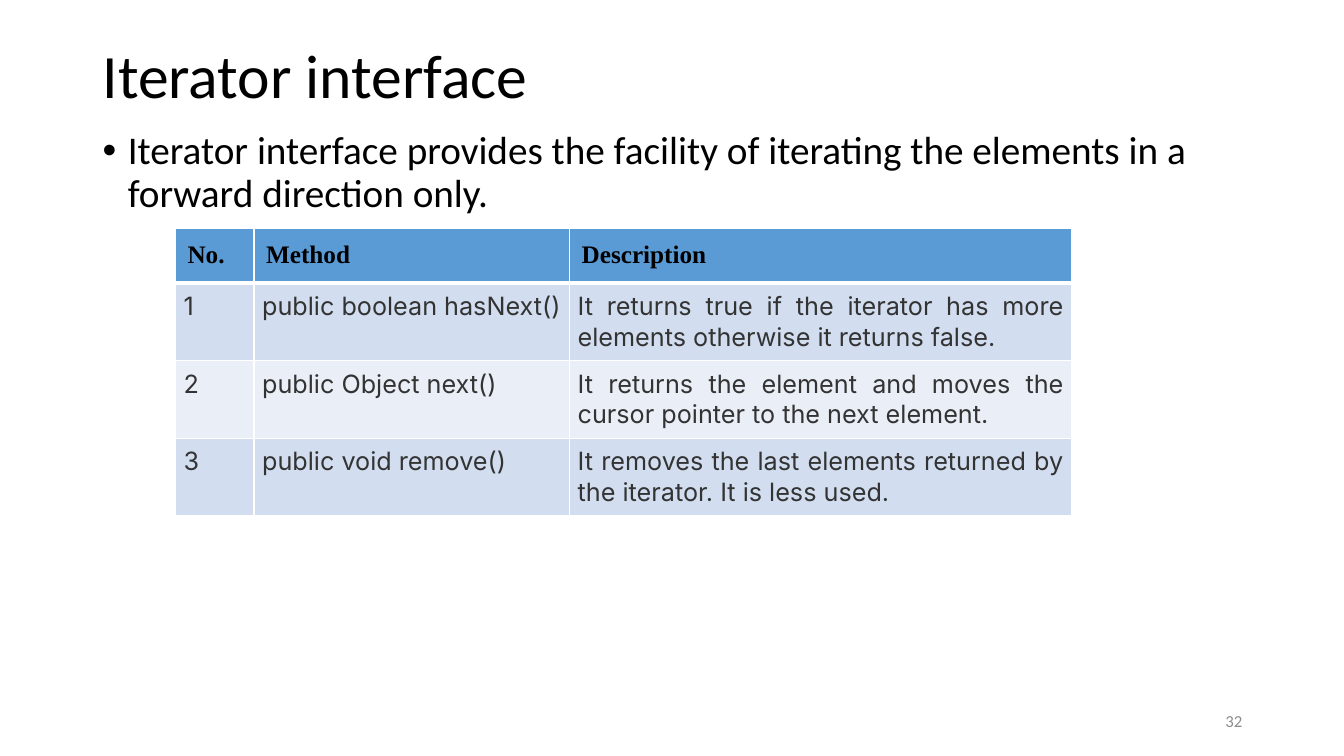
from lxml import etree
from pptx import Presentation
from pptx.dml.color import RGBColor
from pptx.enum import text
from pptx.oxml import ns
from pptx.util import Inches, Pt

ALIGN = text.PP_ALIGN
ANCHOR = text.MSO_ANCHOR


def style(paragraph, size, font, color, bold=False, align=ALIGN.LEFT):
    paragraph.alignment = align
    paragraph.font.size = Pt(size)
    paragraph.font.name = font
    paragraph.font.bold = bold
    paragraph.font.color.rgb = RGBColor.from_string(color)


def add_text(left, top, width, height, words, size, color="000000",
             anchor=ANCHOR.TOP, align=ALIGN.LEFT):
    box = slide.shapes.add_textbox(Inches(left), Inches(top), Inches(width), Inches(height))
    frame = box.text_frame
    frame.word_wrap = True
    frame.vertical_anchor = anchor
    paragraph = frame.paragraphs[0]
    paragraph.text = words
    style(paragraph, size, "Calibri", color, align=align)
    return paragraph


presentation = Presentation()
presentation.slide_width = Inches(13.33)
presentation.slide_height = Inches(7.5)
slide = presentation.slides.add_slide(presentation.slide_layouts[6])

# Title
title = add_text(0.92, 0.4, 11.5, 1.45, "Iterator interface", 44)
title.line_spacing = 0.9

# Bullet
bullet = add_text(0.92, 1.25, 11.5, 5.51,
                  "Iterator interface provides the facility of iterating "
                  "the elements in a forward direction only.", 28)
bullet.line_spacing = 0.9
bullet.space_before = Pt(10)
properties = bullet._p.get_or_add_pPr()
properties.set("marL", str(Inches(0.25)))
properties.set("indent", str(Inches(-0.25)))
etree.SubElement(properties, ns.qn("a:buFont"), typeface="Arial")
etree.SubElement(properties, ns.qn("a:buChar"), char="•")
# The schema wants the default run properties after the bullet
properties.append(properties.find(ns.qn("a:defRPr")))

# Slide number
add_text(9.42, 6.95, 3, 0.4, "32", 12, "8C8C8C", ANCHOR.MIDDLE, ALIGN.RIGHT)

# Table of methods
methods = [
    ("No.", "Method", "Description"),
    ("1", "public boolean hasNext()",
     "It returns true if the iterator has more elements otherwise it returns false."),
    ("2", "public Object next()",
     "It returns the element and moves the cursor pointer to the next element."),
    ("3", "public void remove()",
     "It removes the last elements returned by the iterator. It is less used."),
]
column_widths = [0.78, 3.13, 4.98]
row_heights = [0.52, 0.77, 0.77, 0.77]
row_fills = ["5B9BD5", "D2DEEF", "EAEFF7", "D2DEEF"]

table = slide.shapes.add_table(len(methods), len(column_widths), Inches(1.74), Inches(2.27),
                               Inches(sum(column_widths)), Inches(sum(row_heights))).table
for column, width in zip(table.columns, column_widths):
    column.width = Inches(width)

for row_index, words in enumerate(methods):
    header = row_index == 0
    table.rows[row_index].height = Inches(row_heights[row_index])
    for column_index, word in enumerate(words):
        cell = table.cell(row_index, column_index)
        cell.text = word
        margin = Inches(0.12 if header else 0.08)
        cell.margin_left = cell.margin_right = margin
        cell.margin_top = cell.margin_bottom = margin
        paragraph = cell.text_frame.paragraphs[0]
        if header:
            style(paragraph, 18, "Times New Roman", "000000", bold=True)
        else:
            style(paragraph, 18, "Inter", "333333", align=ALIGN.JUSTIFY)

        # White borders, thicker between header and body
        cell_properties = cell._tc.get_or_add_tcPr()
        for side in ("L", "R", "T", "B"):
            thick = (header and side == "B") or (row_index == 1 and side == "T")
            border = etree.SubElement(cell_properties, ns.qn("a:ln" + side),
                                      w=str(Pt(3 if thick else 1)))
            line_fill = etree.SubElement(border, ns.qn("a:solidFill"))
            etree.SubElement(line_fill, ns.qn("a:srgbClr"), val="FFFFFF")
        cell.fill.solid()
        cell.fill.fore_color.rgb = RGBColor.from_string(row_fills[row_index])

presentation.save("out.pptx")
